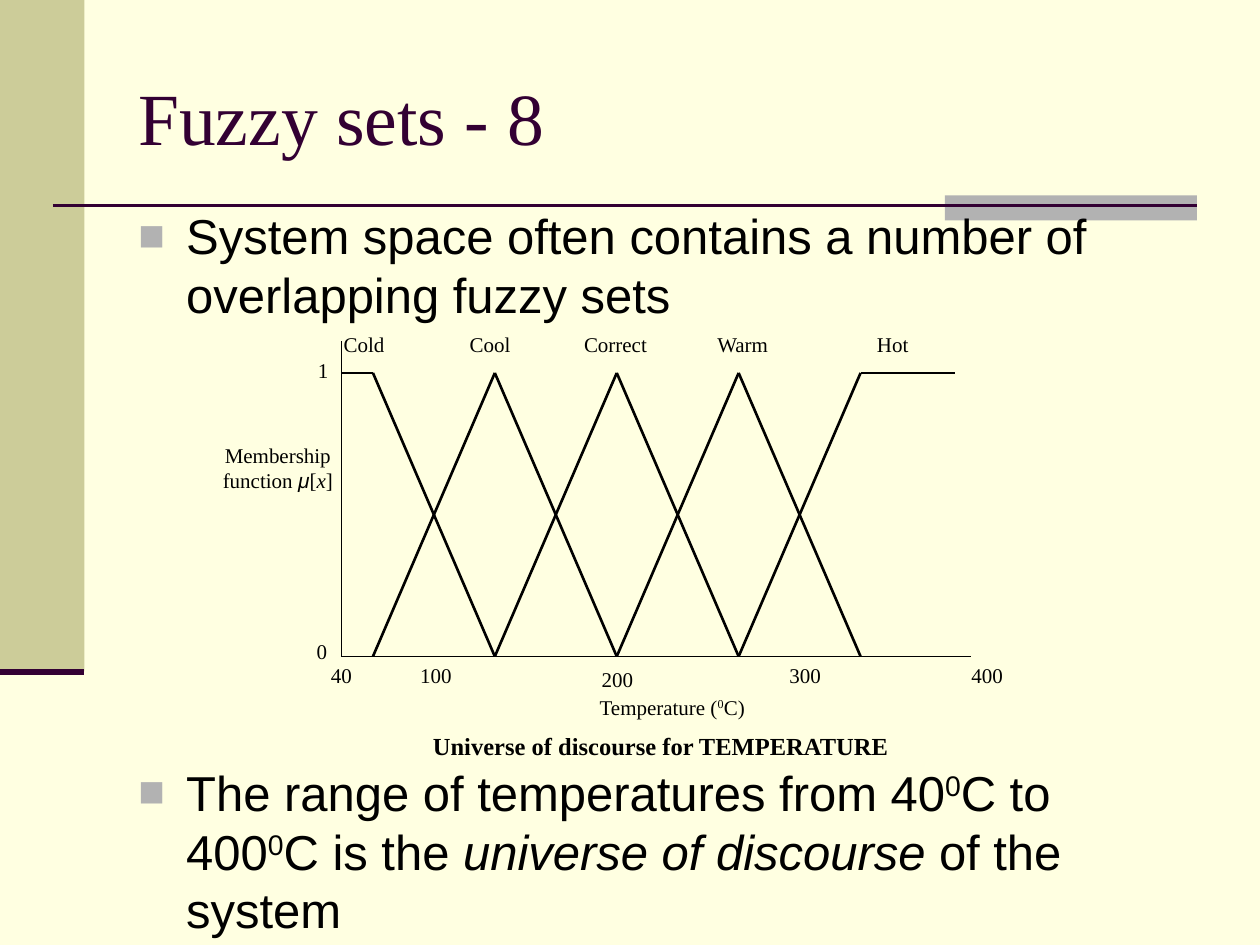
from dataclasses import dataclass

from lxml.etree import SubElement
from pptx import Presentation
from pptx.dml.color import RGBColor
from pptx.enum.shapes import MSO_CONNECTOR, MSO_SHAPE
from pptx.enum.text import MSO_ANCHOR, PP_ALIGN
from pptx.oxml.ns import qn
from pptx.util import Inches, Pt


@dataclass(frozen=True)
class Theme:
    background: str = "FFFFE1"
    band: str = "CCCC99"
    accent: str = "B2B2B2"
    dark: str = "330033"
    ink: str = "000000"
    serif: str = "Times New Roman"
    sans: str = "Arial"
    title: float = 42
    body: float = 28
    caption: float = 14
    label: float = 12
    thick: float = 3.5
    curve: float = 1.5
    axis: float = 0.75


@dataclass(frozen=True)
class Run:
    text: str
    italic: bool = False
    bold: bool = False
    superscript: bool = False
    font: str = ""


@dataclass(frozen=True)
class Label:
    left: float
    top: float
    width: float
    runs: tuple[Run, ...]
    height: float = 0.37


T = Theme()


def color(value: str) -> RGBColor:
    return RGBColor.from_string(value)


def add_rect(s, x: float, y: float, w: float, h: float, fill: str) -> None:
    sp = s.shapes.add_shape(MSO_SHAPE.RECTANGLE, Inches(x), Inches(y), Inches(w), Inches(h))
    sp.shadow.inherit = False
    sp.fill.solid()
    sp.fill.fore_color.rgb = color(fill)
    sp.line.fill.background()


def add_line(s, x1: float, y1: float, x2: float, y2: float,
             width: float = T.curve, ink: str = T.ink) -> None:
    line = s.shapes.add_connector(MSO_CONNECTOR.STRAIGHT, Inches(x1), Inches(y1),
                                  Inches(x2), Inches(y2))
    line.line.color.rgb = color(ink)
    line.line.width = Pt(width)
    SubElement(line._element.spPr, qn("a:effectLst"))


def add_box(s, x: float, y: float, w: float, h: float):
    tf = s.shapes.add_textbox(Inches(x), Inches(y), Inches(w), Inches(h)).text_frame
    tf.word_wrap = True
    return tf


def add_runs(p, runs: tuple[Run, ...], size: float, font: str, ink: str = T.ink) -> None:
    for run in runs:
        r = p.add_run()
        r.text = run.text
        r.font.size = Pt(size)
        r.font.name = run.font or font
        r.font.italic = run.italic
        r.font.bold = run.bold
        r.font.color.rgb = color(ink)
        if run.superscript:
            r._r.get_or_add_rPr().set("baseline", "30000")


def add_label(s, label: Label, size: float = T.label) -> None:
    p = add_box(s, label.left, label.top, label.width, label.height).paragraphs[0]
    p.alignment = PP_ALIGN.CENTER
    add_runs(p, label.runs, size, T.serif)


def add_bullet(p, runs: tuple[Run, ...], before: float) -> None:
    add_runs(p, runs, T.body, T.sans)
    p.space_before = Pt(before)
    pPr = p._p.get_or_add_pPr()
    pPr.set("marL", str(Inches(0.38)))
    pPr.set("indent", str(-Inches(0.38)))
    SubElement(SubElement(pPr, qn("a:buClr")), qn("a:srgbClr"), val=T.accent)
    SubElement(pPr, qn("a:buSzPct"), val="90000")
    SubElement(pPr, qn("a:buFont"), typeface=T.sans)
    SubElement(pPr, qn("a:buChar"), char="■")


def add_frame(s) -> None:
    add_rect(s, 0, 0, 0.67, 5.33, T.band)
    add_rect(s, 7.5, 1.55, 2, 0.2, T.accent)
    add_line(s, 0.42, 1.63, 9.5, 1.63, T.curve, T.dark)
    add_line(s, 0, 5.33, 0.67, 5.33, T.thick, T.dark)


def add_text(s) -> None:
    tf = add_box(s, 1, 0.3, 8.5, 1.25)
    tf.vertical_anchor = MSO_ANCHOR.MIDDLE
    add_runs(tf.paragraphs[0], (Run("Fuzzy sets - 8"),), T.title, T.serif, T.dark)

    # The second bullet is spaced down to leave room for the diagram
    tf = add_box(s, 1, 1.58, 8.5, 5.92)
    add_bullet(tf.paragraphs[0],
               (Run("System space often contains a number of overlapping fuzzy sets"),), 7)
    add_bullet(tf.add_paragraph(),
               (Run("The range of temperatures from 40"), Run("0", superscript=True),
                Run("C to 400"), Run("0", superscript=True), Run("C is the "),
                Run("universe of discourse", italic=True), Run(" of the system")), 251)


def add_diagram(s) -> None:
    left, top, base = 2.71, 2.96, 5.21
    first, last, sets = 2.96, 6.83, 5
    step = (last - first) / (sets - 1)
    peaks = [first + i * step for i in range(sets)]

    # Axes
    add_line(s, left, 2.71, left, base, T.axis)
    add_line(s, left, base, 7.71, base, T.axis)

    # Overlapping membership functions: each set falls as the next one rises
    for x1, x2 in zip(peaks, peaks[1:]):
        add_line(s, x1, top, x2, base)
        add_line(s, x1, base, x2, top)
    add_line(s, left, top, first, top)
    add_line(s, last, top, 7.58, top)

    # Axis title and values
    add_label(s, Label(1.58, 3.46, 1.25,
                       (Run("Membership function "), Run("μ", italic=True, font=T.sans),
                        Run("["), Run("x", italic=True), Run("]")), 0.62))
    add_label(s, Label(2.38, 2.79, 0.37, (Run("1"),)))
    add_label(s, Label(2.37, 5.02, 0.37, (Run("0"),)))

    # Set names
    for name, x, w in (("Cold", 2.58, 0.62), ("Cool", 3.58, 0.62), ("Correct", 4.51, 0.75),
                       ("Warm", 5.46, 0.87), ("Hot", 6.71, 0.75)):
        add_label(s, Label(x, 2.58, w, (Run(name),)))

    # Temperatures
    for value, x, y, w, h in (("40", 2.46, base, 0.5, 0.37), ("100", 3.21, base, 0.5, 0.37),
                              ("200", 4.65, 5.24, 0.5, 0.37), ("300", 6.08, base, 0.62, 0.5),
                              ("400", 7.46, base, 0.75, 0.5)):
        add_label(s, Label(x, y, w, (Run(value),), h))
    add_label(s, Label(4.21, 5.46, 2.25,
                       (Run("Temperature ("), Run("0", superscript=True), Run("C)"))))

    # Caption
    add_label(s, Label(2.33, 5.75, 5.83,
                       (Run("Universe of discourse for TEMPERATURE", bold=True),), 0.34),
              T.caption)


def main() -> None:
    prs = Presentation()
    prs.slide_width, prs.slide_height = Inches(10), Inches(7.5)
    s = prs.slides.add_slide(prs.slide_layouts[6])
    s.background.fill.solid()
    s.background.fill.fore_color.rgb = color(T.background)
    add_frame(s)
    add_text(s)
    add_diagram(s)
    prs.save("out.pptx")


if __name__ == "__main__":
    main()
